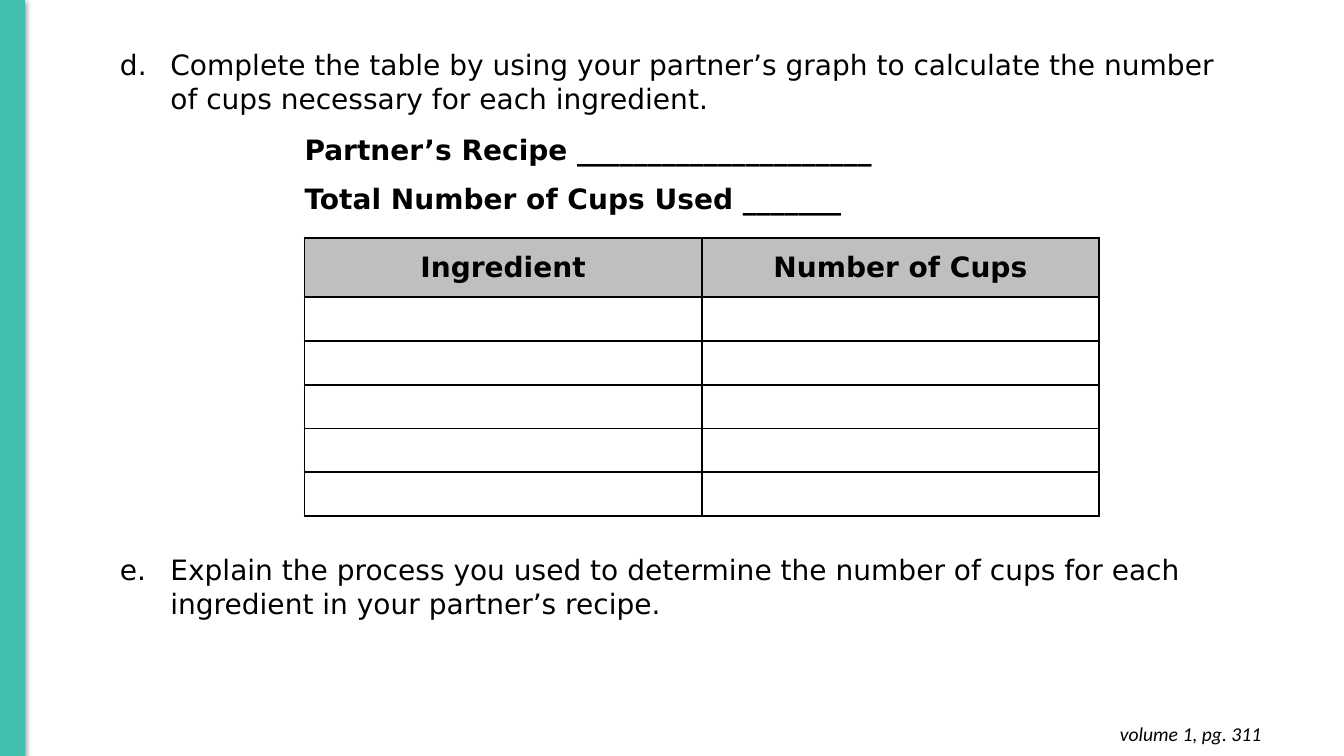
from dataclasses import dataclass

from lxml.etree import SubElement
from pptx import Presentation
from pptx.dml.color import RGBColor as RGB
from pptx.enum.shapes import MSO_SHAPE as SHAPE
from pptx.enum.text import MSO_ANCHOR as ANCHOR, PP_ALIGN as ALIGN
from pptx.oxml.ns import qn
from pptx.util import Inches, Pt


@dataclass(frozen=True)
class Theme:
    ink: str = "000000"
    accent: str = "41BFAC"
    header: str = "BFBFBF"
    body_font: str = "DejaVu Sans"
    note_font: str = "Calibri"
    body_size: int = 20
    note_size: int = 14
    border: float = 1.5


def add_xml(parent, tag, **attrs):
    return SubElement(parent, qn(tag), {k: str(v) for k, v in attrs.items()})


class Lesson:
    def __init__(self, prs, theme):
        self.theme = theme
        self.slide = prs.slides.add_slide(prs.slide_layouts[1])
        title = self.slide.shapes.title.element
        title.getparent().remove(title)

    def run(self, p, text, font=None, size=None, bold=False, italic=False):
        r = p.add_run()
        r.text = text
        r.font.name = font or self.theme.body_font
        r.font.size = Pt(size or self.theme.body_size)
        r.font.bold, r.font.italic = bold, italic
        r.font.color.rgb = RGB.from_string(self.theme.ink)

    def questions(self, box, items, first_letter, gap):
        sp = self.slide.placeholders[1]
        sp.left, sp.top, sp.width, sp.height = map(Inches, box)
        tf = sp.text_frame
        tf.vertical_anchor = ANCHOR.TOP
        for i, text in enumerate(items):
            p = tf.add_paragraph() if i else tf.paragraphs[0]
            pPr = p._p.get_or_add_pPr()
            pPr.set("marL", str(Inches(1)))
            pPr.set("indent", str(Inches(-0.5)))
            add_xml(add_xml(pPr, "a:buClr"), "a:srgbClr", val=self.theme.ink)
            add_xml(pPr, "a:buFont", typeface=self.theme.body_font)
            add_xml(pPr, "a:buAutoNum", type="alphaLcPeriod", startAt=first_letter + i)
            p.space_before = Pt(gap if i else 0)
            p.line_spacing = 1.0
            self.run(p, text)

    def side_bar(self, box):
        sp = self.slide.shapes.add_shape(SHAPE.RECTANGLE, *map(Inches, box))
        color = RGB.from_string(self.theme.accent)
        sp.fill.solid()
        sp.fill.fore_color.rgb = color
        sp.line.color.rgb = color
        sp.line.width = Pt(0.75)
        sp.shadow.inherit = False
        effects = sp._element.spPr.find(qn("a:effectLst"))
        shadow = add_xml(effects, "a:outerShdw", blurRad=Pt(4.5), dist=Pt(1.5),
                         dir=90 * 60000, algn="ctr", rotWithShape=0)
        shade = add_xml(shadow, "a:srgbClr", val=self.theme.ink)
        add_xml(shade, "a:alpha", val=50000)

    def borders(self, cell, sides):
        tcPr = cell._tc.get_or_add_tcPr()
        for side in "LRTB":
            ln = add_xml(tcPr, f"a:ln{side}", w=Pt(self.theme.border))
            if side in sides:
                add_xml(add_xml(ln, "a:solidFill"), "a:srgbClr", val=self.theme.ink)
            else:
                add_xml(ln, "a:noFill")

    def recipe_table(self, box, captions, headers, blank_rows, caption_h, header_h):
        rows, cols = blank_rows + 2, len(headers)
        table = self.slide.shapes.add_table(rows, cols, *map(Inches, box)).table
        table.first_row = table.horz_banding = False
        blank_h = (box[3] - caption_h - header_h) / blank_rows
        heights = [caption_h, header_h] + [blank_h] * blank_rows
        for i, height in enumerate(heights):
            table.rows[i].height = Inches(height)
            for cell in table.rows[i].cells:
                self.borders(cell, "LRTB" if i else "B")
                if i == 1:
                    cell.fill.solid()
                    cell.fill.fore_color.rgb = RGB.from_string(self.theme.header)
                else:
                    cell.fill.background()

        top = table.cell(0, 0)
        top.merge(table.cell(0, cols - 1))
        top.margin_left = top.margin_top = 0
        top.margin_bottom = Inches(0.2)
        for i, text in enumerate(captions):
            p = top.text_frame.add_paragraph() if i else top.text_frame.paragraphs[0]
            p.space_before = Pt(12 if i else 0)
            self.run(p, text, bold=True)

        for col, text in enumerate(headers):
            cell = table.cell(1, col)
            cell.vertical_anchor = ANCHOR.MIDDLE
            p = cell.text_frame.paragraphs[0]
            p.alignment = ALIGN.CENTER
            self.run(p, text, bold=True)

    def page_note(self, box, text):
        tf = self.slide.shapes.add_textbox(*map(Inches, box)).text_frame
        tf.word_wrap = True
        tf.margin_top = tf.margin_bottom = Inches(0.1)
        p = tf.paragraphs[0]
        p.alignment = ALIGN.RIGHT
        self.run(p, text, self.theme.note_font, self.theme.note_size, italic=True)


def main():
    prs = Presentation()
    prs.slide_width, prs.slide_height = Inches(13.33), Inches(7.5)
    lesson = Lesson(prs, Theme())
    lesson.questions(
        (0.59, 0.42, 11.81, 6.16),
        ["Complete the table by using your partner’s graph to calculate the number "
         "of cups necessary for each ingredient.",
         "Explain the process you used to determine the number of cups for each "
         "ingredient in your partner’s recipe."],
        first_letter=4, gap=313)
    lesson.side_bar((0, 0, 0.24, 7.5))
    lesson.recipe_table(
        (3.02, 1.33, 7.88, 3.79),
        ["Partner’s Recipe _____________________", "Total Number of Cups Used _______"],
        ["Ingredient", "Number of Cups"],
        blank_rows=5, caption_h=1.03, header_h=0.59)
    lesson.page_note((9.73, 7.06, 2.88, 0.44), "volume 1, pg. 311")
    prs.save("out.pptx")


if __name__ == "__main__":
    main()
